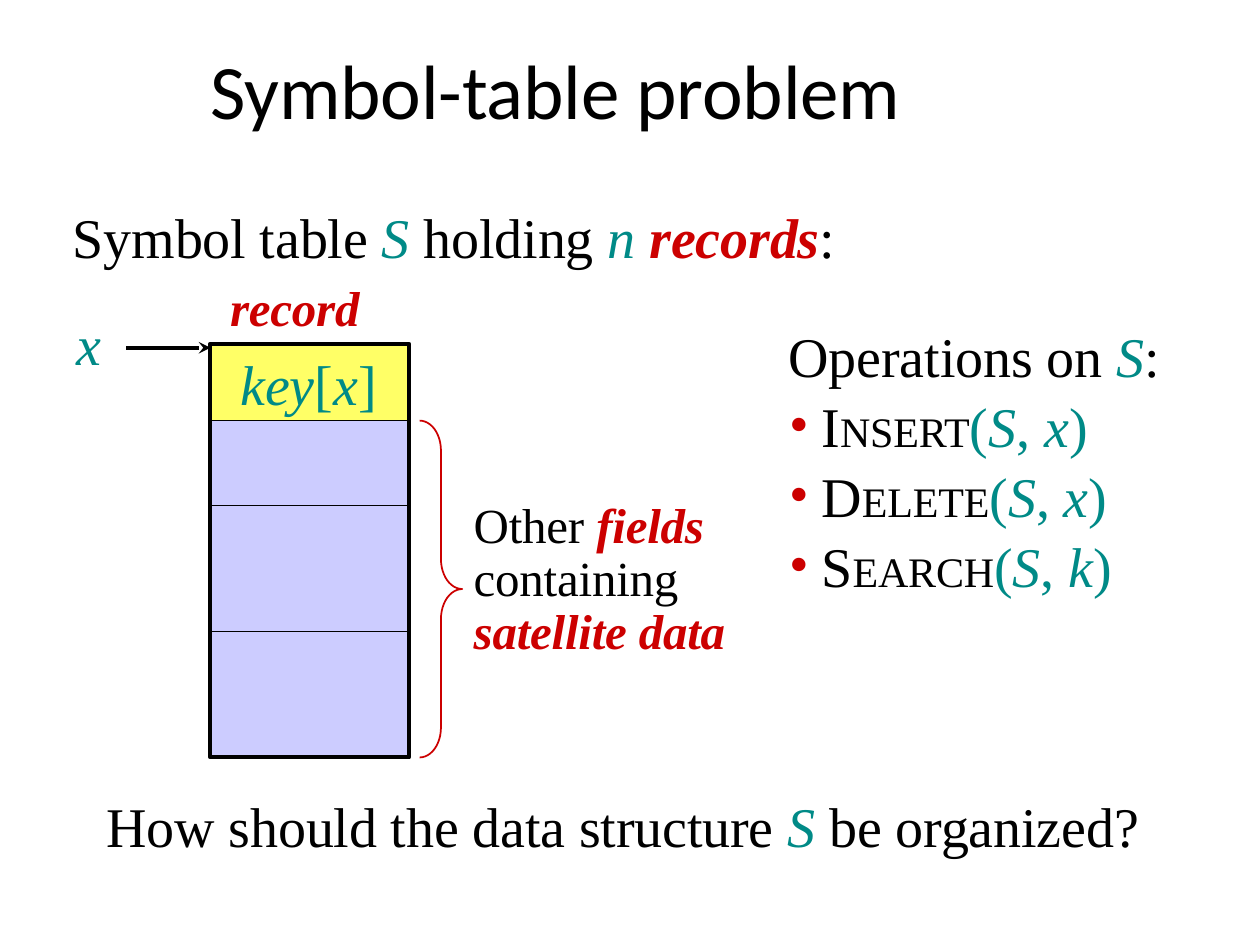
from lxml.etree import SubElement
from pptx import Presentation
from pptx.dml.color import RGBColor
from pptx.enum.shapes import MSO_CONNECTOR, MSO_SHAPE
from pptx.enum.text import MSO_ANCHOR, MSO_AUTO_SIZE, PP_ALIGN
from pptx.oxml.ns import qn
from pptx.util import Cm, Pt

COLOURS = {
    "black": "000000",
    "teal": "008A87",
    "red": "CC0000",
    "yellow": "FFFF66",
    "lilac": "CCCCFF",
}
STYLES = {
    "plain": {"colour": "black"},
    "small": {"colour": "black", "size": Pt(24)},
    "symbol": {"colour": "teal"},
    "variable": {"colour": "teal", "italic": True},
    "term": {"colour": "red", "bold": True, "italic": True},
}
RECORD_LEFT, RECORD_WIDTH = 4.24, 4.01
FIELD_EDGES = [6.93, 8.48, 10.19, 12.73, 15.27]


def rgb(name):
    return RGBColor.from_string(COLOURS[name])


def fill_para(para, spans, size, font="Times New Roman"):
    for text, style in spans:
        span = para.add_run()
        span.text = text
        values = {"name": font, "size": Pt(size), **STYLES[style]}
        span.font.color.rgb = rgb(values.pop("colour"))
        for name, value in values.items():
            setattr(span.font, name, value)
        # Slightly tightened letter spacing
        span._r.get_or_add_rPr().set("spc", "-10")


def format_frame(frame, top_inset=0.03):
    values = {
        "word_wrap": True,
        "auto_size": MSO_AUTO_SIZE.NONE,
        "margin_left": 0,
        "margin_right": 0,
        "margin_top": Cm(top_inset),
        "margin_bottom": 0,
    }
    for name, value in values.items():
        setattr(frame, name, value)


def add_title(page, text):
    title = page.shapes.title
    place = {"left": 4.24, "top": 0.81, "width": 14.86, "height": 1.93}
    for name, value in place.items():
        setattr(title, name, Cm(value))
    frame = title.text_frame
    format_frame(frame)
    frame.vertical_anchor = MSO_ANCHOR.MIDDLE
    para = frame.paragraphs[0]
    para.alignment = PP_ALIGN.LEFT
    fill_para(para, [(text, "plain")], 44, "Calibri")


def add_text(page, place, spans, size=32, top_inset=0.03):
    box = page.shapes.add_textbox(*map(Cm, place))
    format_frame(box.text_frame, top_inset)
    fill_para(box.text_frame.paragraphs[0], spans, size)
    return box.text_frame


def add_bullet(frame, spans):
    para = frame.add_paragraph()
    para.space_before = Pt(1.6)
    props = para._p.get_or_add_pPr()
    props.set("marL", str(Cm(0.66)))
    props.set("indent", str(-Cm(0.64)))
    colour = SubElement(props, qn("a:buClr"))
    SubElement(colour, qn("a:srgbClr"), val=COLOURS["red"])
    SubElement(props, qn("a:buFont"), typeface="Times New Roman")
    SubElement(props, qn("a:buChar"), char="•")
    fill_para(para, spans, 32)


def add_outlined(page, kind, place, line, weight, fill=None):
    shape = page.shapes.add_shape(kind, *map(Cm, place))
    shape.shadow.inherit = False
    shape.line.color.rgb = rgb(line)
    shape.line.width = Pt(weight)
    if fill:
        shape.fill.solid()
        shape.fill.fore_color.rgb = rgb(fill)
    else:
        shape.fill.background()
    return shape


def add_arrow(page, start, end):
    arrow = page.shapes.add_connector(
        MSO_CONNECTOR.STRAIGHT, *map(Cm, start + end))
    arrow.line.color.rgb = rgb("black")
    arrow.line.width = Pt(2.25)
    SubElement(arrow.line._get_or_add_ln(), qn("a:tailEnd"),
               type="stealth", w="med", len="med")
    SubElement(arrow._element.spPr, qn("a:effectLst"))


def add_record(page):
    # Key field on top, satellite fields below
    fills = ["yellow"] + ["lilac"] * 3
    for top, bottom, fill in zip(FIELD_EDGES, FIELD_EDGES[1:], fills):
        add_outlined(page, MSO_SHAPE.RECTANGLE,
                     (RECORD_LEFT, top, RECORD_WIDTH, bottom - top),
                     "black", 0.75, fill)
    top, key_bottom, bottom = FIELD_EDGES[0], FIELD_EDGES[1], FIELD_EDGES[-1]
    add_outlined(page, MSO_SHAPE.RECTANGLE,
                 (RECORD_LEFT, top, RECORD_WIDTH, bottom - top),
                 "black", 2.25)
    # Brace beside the satellite fields
    brace = add_outlined(page, MSO_SHAPE.RIGHT_BRACE,
                         (8.46, key_bottom, 0.86, bottom - key_bottom),
                         "red", 1)
    brace.adjustments[0] = 0.7
    # Pointer to the record
    add_arrow(page, (2.54, 7.01), (RECORD_LEFT, 7.01))


def add_labels(page):
    add_text(page, (4.85, 7.01, 3.36, 1.42),
             [("key", "variable"), ("[", "symbol"),
              ("x", "variable"), ("]", "symbol")])
    add_text(page, (4.64, 5.56, 2.8, 1.27), [("record", "term")], 28)
    add_text(page, (1.54, 6.22, 0.7, 1.42), [("x", "variable")])
    fields = add_text(page, (9.55, 9.91, 5.3, 3.38),
                      [("Other ", "plain"), ("fields ", "term"),
                       ("containing ", "plain"), ("satellite data", "term")],
                      28, 0.18)
    fields.paragraphs[0].line_spacing = Pt(30.2)


def add_operations(page):
    frame = add_text(page, (15.9, 6.45, 7.7, 5.49),
                     [("Operations on ", "plain"), ("S", "variable"),
                      (":", "plain")])
    for name, argument in [("INSERT", "x"), ("DELETE", "x"), ("SEARCH", "k")]:
        add_bullet(frame, [
            (name[0], "plain"), (name[1:], "small"), ("(", "symbol"),
            ("S", "variable"), (", ", "symbol"),
            (argument, "variable"), (")", "symbol")])


def main():
    deck = Presentation()
    deck.slide_width, deck.slide_height = Cm(25.4), Cm(19.05)
    page = deck.slides.add_slide(deck.slide_layouts[5])
    add_title(page, "Symbol-table problem")
    add_text(page, (1.47, 4.06, 15.7, 1.42),
             [("Symbol table ", "plain"), ("S ", "variable"),
              ("holding ", "plain"), ("n ", "variable"),
              ("records", "term"), (":", "plain")])
    add_record(page)
    add_labels(page)
    add_operations(page)
    add_text(page, (2.15, 15.93, 21.2, 1.42),
             [("How should the data structure ", "plain"),
              ("S ", "variable"), ("be organized?", "plain")])
    deck.save("out.pptx")


if __name__ == "__main__":
    main()
